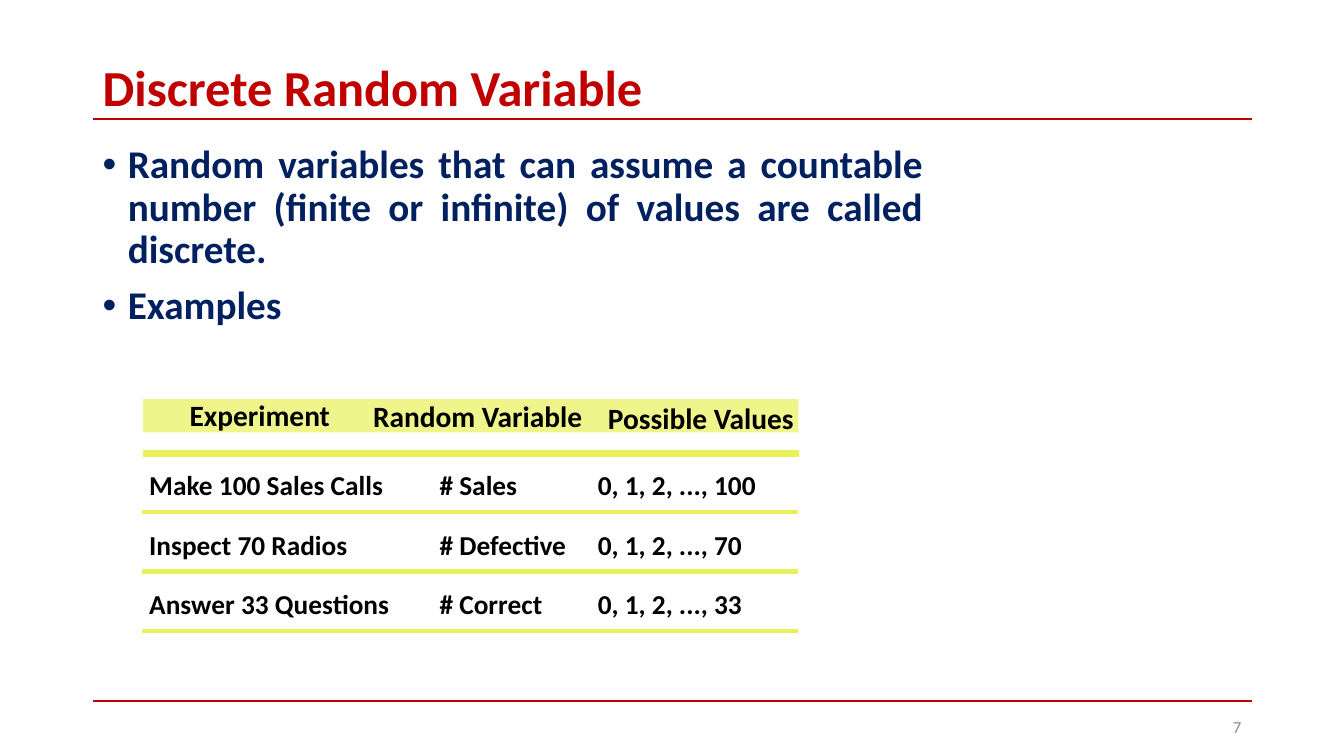
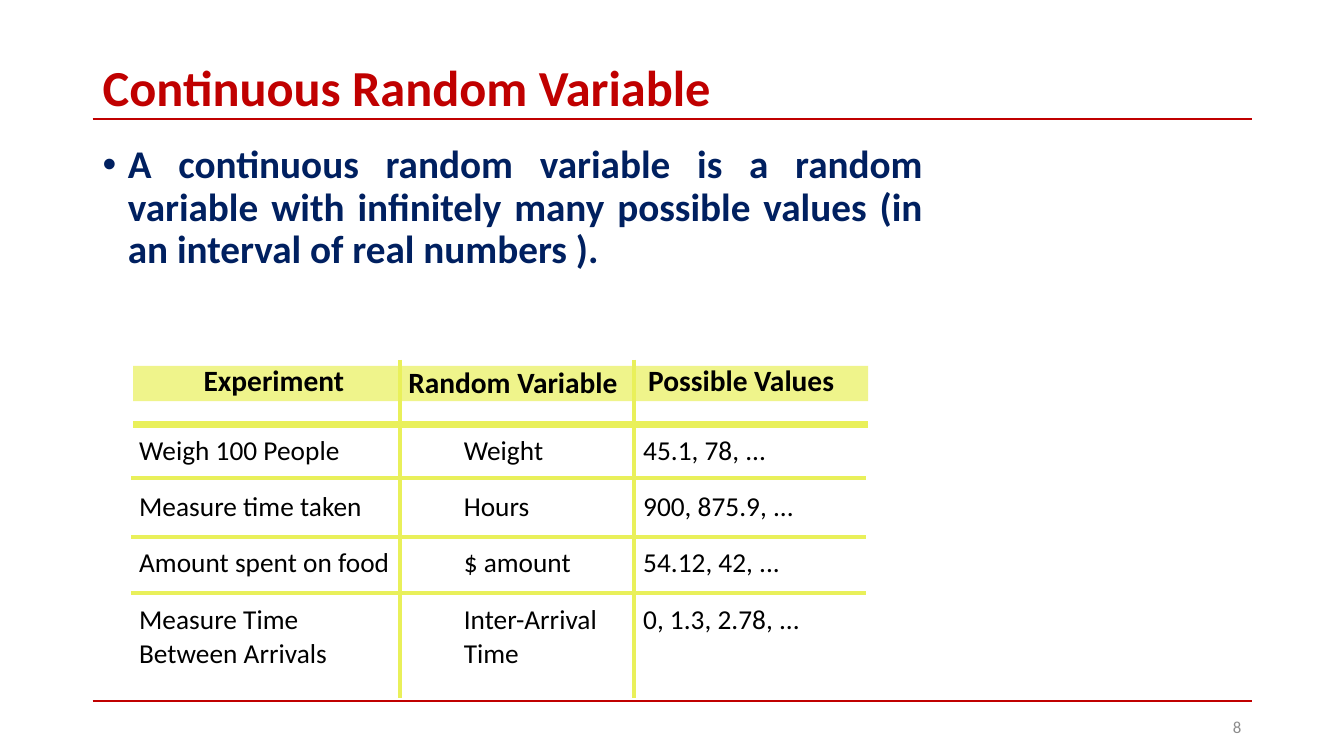
"""Build two slides that contrast discrete and continuous random variables."""
from dataclasses import dataclass
from itertools import pairwise

from lxml.etree import SubElement
from pptx import Presentation
from pptx.dml.color import RGBColor as Rgb
from pptx.enum.shapes import MSO_CONNECTOR as Connector, MSO_SHAPE as Shape
from pptx.enum.text import MSO_ANCHOR as Anchor, PP_ALIGN as Align
from pptx.oxml.ns import qn
from pptx.util import Pt

PX = 9144


@dataclass(frozen=True)
class Style:
    size: float
    color: str
    bold: bool = False


@dataclass(frozen=True)
class Theme:
    font: str = "Calibri"
    rule: str = "C00000"
    accent: str = "E9F05A"
    title: Style = Style(36, "C00000", True)
    body: Style = Style(28, "002060", True)
    number: Style = Style(12, "8C8C8C")
    header: Style = Style(21, "000000", True)
    strong_cell: Style = Style(19.5, "000000", True)
    plain_cell: Style = Style(19.5, "000000")


THEME = Theme()

SLIDES = [
    {
        "number": 7,
        "title": "Discrete Random Variable",
        "bullets": [
            "Random variables that can assume a countable number (finite or infinite) of values are called discrete.",
            "Examples",
        ],
        "band": (142, 396, 650, 33),
        "columns": (141, 362, 428, 586, 792),
        "rows": (390, 450, 508, 567, 626),
        "row_rules": (508, 567, 626),
        "column_rules": (),
        "header_starts": (0, 1, 3),
        "body_starts": (0, 2, 3),
        "header_left": (47, 8, 17),
        "body_left": (7, 8, 7),
        "header_top": (5, 6, 8),
        "body_top": (16, 17, 17),
        "cell_style": THEME.strong_cell,
        "table": [
            ("Experiment", "Random Variable", "Possible Values"),
            ("Make 100 Sales Calls", "# Sales", "0, 1, 2, ..., 100"),
            ("Inspect 70 Radios", "# Defective", "0, 1, 2, ..., 70"),
            ("Answer 33 Questions", "# Correct", "0, 1, 2, ..., 33"),
        ],
    },
    {
        "number": 8,
        "title": "Continuous Random Variable",
        "bullets": [
            "A continuous random variable is a random variable with infinitely many possible values "
            "(in an interval of real numbers ).",
        ],
        "band": (132, 363, 729, 35),
        "columns": (130, 397, 629, 860),
        "rows": (357, 421, 474, 533, 588, 692),
        "row_rules": (474, 533, 588),
        "column_rules": (397, 629),
        "header_starts": (0, 1, 2),
        "body_starts": (0, 1, 2),
        "header_left": (72, 8, 14),
        "body_left": (8, 63, 9),
        "header_top": (4, 6, 4),
        "body_top": (10, 13, 9, 11),
        "cell_style": THEME.plain_cell,
        "table": [
            ("Experiment", "Random Variable", "Possible Values"),
            ("Weigh 100 People", "Weight", "45.1, 78, ..."),
            ("Measure time taken", "Hours", "900, 875.9, ..."),
            ("Amount spent on food", "$ amount", "54.12, 42, ..."),
            ("Measure Time\nBetween Arrivals", "Inter-Arrival\nTime", "0, 1.3, 2.78, ..."),
        ],
    },
]


def write(frame, lines, style, align=Align.LEFT):
    """Fill a text frame with one styled run per paragraph."""
    frame.word_wrap = True
    for index, line in enumerate(lines):
        para = frame.add_paragraph() if index else frame.paragraphs[0]
        para.alignment = align
        span = para.add_run()
        span.text = line
        span.font.name = THEME.font
        span.font.size = Pt(style.size)
        span.font.bold = style.bold
        span.font.color.rgb = Rgb.from_string(style.color)
    return frame.paragraphs


def draw_rule(page, ends, color, weight):
    """Draw a straight line between two points given in px."""
    rule = page.shapes.add_connector(Connector.STRAIGHT, *(length * PX for length in ends))
    rule.line.color.rgb = Rgb.from_string(color)
    rule.line.width = Pt(weight)
    SubElement(rule._element.spPr, qn("a:effectLst"))


deck = Presentation()
deck.slide_width, deck.slide_height = 1333 * PX, 750 * PX

for content in SLIDES:
    page = deck.slides.add_slide(deck.slide_layouts[6])

    for y in (118, 695):
        draw_rule(page, (92, y, 1242, y), THEME.rule, 1.5)

    title_box = page.shapes.add_textbox(92 * PX, 60 * PX, 1150 * PX, 58 * PX)
    title_box.text_frame.vertical_anchor = Anchor.MIDDLE
    for para in write(title_box.text_frame, [content["title"]], THEME.title):
        para.line_spacing = 0.9

    body_box = page.shapes.add_textbox(92 * PX, 139 * PX, 833 * PX, 537 * PX)
    for para in write(body_box.text_frame, content["bullets"], THEME.body, Align.JUSTIFY):
        para.line_spacing = 0.9
        para.space_before = Pt(10)
        props = para._p.get_or_add_pPr()
        props.set("marL", str(25 * PX))
        props.set("indent", str(-25 * PX))
        SubElement(props, qn("a:buFont"), typeface="Arial")
        SubElement(props, qn("a:buChar"), char="•")

    number_box = page.shapes.add_textbox(941 * PX, 701 * PX, 300 * PX, 40 * PX)
    number_box.text_frame.vertical_anchor = Anchor.MIDDLE
    write(number_box.text_frame, [str(content["number"])], THEME.number, Align.RIGHT)

    band = page.shapes.add_shape(Shape.RECTANGLE, *(length * PX for length in content["band"]))
    band.shadow.inherit = False
    band.fill.solid()
    band.fill.fore_color.rgb = Rgb.from_string(THEME.accent)
    band.line.fill.background()
    SubElement(band._element.spPr.find(".//" + qn("a:srgbClr")), qn("a:alpha"), val="70000")

    xs, ys = content["columns"], content["rows"]
    table = page.shapes.add_table(
        len(ys) - 1, len(xs) - 1, xs[0] * PX, ys[0] * PX, (xs[-1] - xs[0]) * PX, (ys[-1] - ys[0]) * PX
    ).table
    table.first_row = table.horz_banding = False
    for column, (left, right) in zip(table.columns, pairwise(xs)):
        column.width = (right - left) * PX
    for row, (top, bottom) in zip(table.rows, pairwise(ys)):
        row.height = (bottom - top) * PX

    for cell in table.iter_cells():
        for side in ("lnL", "lnR", "lnT", "lnB"):
            border = SubElement(cell._tc.get_or_add_tcPr(), qn(f"a:{side}"))
            SubElement(border, qn("a:noFill"))
        cell.fill.background()
        cell.margin_left = cell.margin_right = cell.margin_top = cell.margin_bottom = 0

    for r, texts in enumerate(content["table"]):
        part = "body" if r else "header"
        starts = content[f"{part}_starts"]
        ends = starts[1:] + (len(xs) - 1,)
        tops = (content["body_top"][r - 1],) * len(texts) if r else content["header_top"]
        style = content["cell_style"] if r else THEME.header
        for text, start, end, left, top in zip(texts, starts, ends, content[f"{part}_left"], tops):
            cell = table.cell(r, start)
            if end - start > 1:
                cell.merge(table.cell(r, end - 1))
            cell.margin_left, cell.margin_top = left * PX, top * PX
            cell.vertical_anchor = Anchor.TOP
            write(cell.text_frame, text.split("\n"), style)

    band_left, _, band_width, _ = content["band"]
    draw_rule(page, (band_left, ys[1], band_left + band_width, ys[1]), THEME.accent, 4.5)
    for y in content["row_rules"]:
        draw_rule(page, (xs[0], y, xs[0] + band_width, y), THEME.accent, 3)
    for x in content["column_rules"]:
        draw_rule(page, (x, ys[0], x, ys[-1]), THEME.accent, 3)

deck.save("out.pptx")
